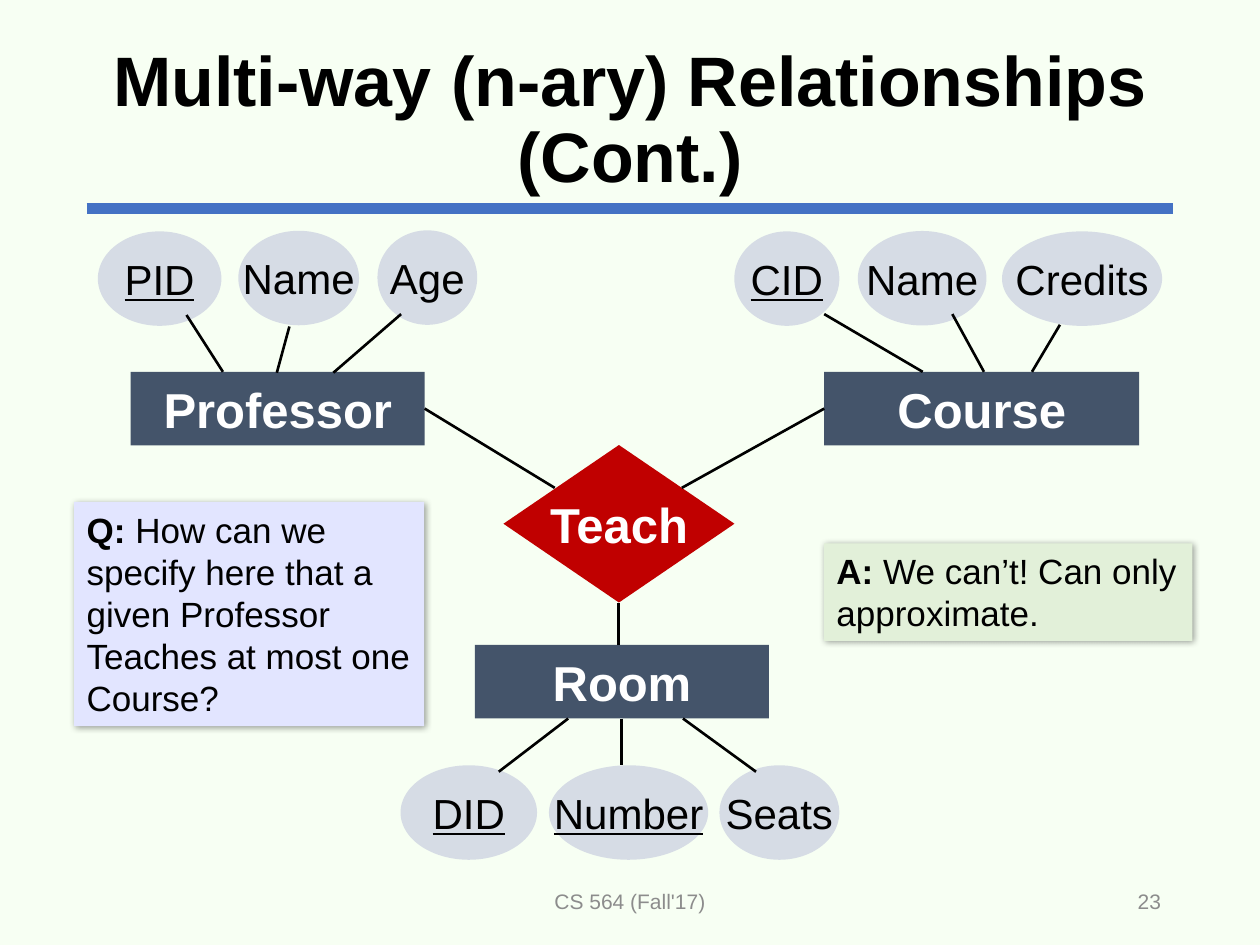
from lxml import etree
from pptx import Presentation, util as u
from pptx.dml.color import RGBColor
from pptx.enum import shapes, text
from pptx.oxml import parse_xml
from pptx.oxml.ns import qn

COLORS = {
    "page": "F7FFF3", "rule": "4472C4", "entity": "44546A", "attribute": "D6DCE5",
    "relationship": "C00000", "question": "E2E5FF", "answer": "E2F0D9",
    "black": "000000", "white": "FFFFFF", "footer": "8C8C8C",
}
SHADOW = (
    '<a:effectLst xmlns:a="http://schemas.openxmlformats.org/drawingml/2006/main">'
    '<a:outerShdw blurRad="50800" dist="12700" dir="2700000" algn="tl" rotWithShape="0">'
    '<a:srgbClr val="000000"><a:alpha val="40000"/></a:srgbClr>'
    '</a:outerShdw></a:effectLst>'
)
KIND = shapes.MSO_SHAPE
ALIGN = text.PP_ALIGN

deck = Presentation()
deck.slide_width, deck.slide_height = u.Pt(720), u.Pt(540)
page = deck.slides.add_slide(deck.slide_layouts[5])
page.background.fill.solid()
page.background.fill.fore_color.rgb = RGBColor.from_string(COLORS["page"])


def write(box, spans, size, color, align, wrap=True, underline=False):
    frame = box.text_frame
    frame.word_wrap = wrap
    frame.auto_size = text.MSO_AUTO_SIZE.NONE
    frame.vertical_anchor = text.MSO_ANCHOR.MIDDLE
    para = frame.paragraphs[0]
    para.alignment = align
    for words, bold in spans:
        span = para.add_run()
        span.text = words
        span.font.name = "Arial"
        span.font.size = u.Pt(size)
        span.font.bold = bold
        span.font.underline = underline
        span.font.color.rgb = RGBColor.from_string(COLORS[color])


def add_box(kind, left, top, width, height, fill):
    box = page.shapes.add_shape(kind, u.Pt(left), u.Pt(top), u.Pt(width), u.Pt(height))
    box.shadow.inherit = False
    box.fill.solid()
    box.fill.fore_color.rgb = RGBColor.from_string(COLORS[fill])
    box.line.fill.background()
    return box


title = page.shapes.title
title.left, title.top, title.width, title.height = u.Pt(49.5), u.Pt(17.5), u.Pt(621), u.Pt(104.4)
write(title, [("Multi-way (n-ary) Relationships (Cont.)", True)], 40, "black", ALIGN.CENTER)
title.text_frame.paragraphs[0].line_spacing = 0.9

for words, left, width, align in [
    ("CS 564 (Fall'17)", 238.5, 243, ALIGN.CENTER),
    ("23", 508.5, 162, ALIGN.RIGHT),
]:
    box = page.shapes.add_textbox(u.Pt(left), u.Pt(500.5), u.Pt(width), u.Pt(28.75))
    write(box, [(words, False)], 12, "footer", align)

for words, kind, left, top, width, height, fill in [
    ("Professor", KIND.RECTANGLE, 74.7, 212.5, 168, 42, "entity"),
    ("Course", KIND.RECTANGLE, 471, 212.5, 180, 42, "entity"),
    ("Room", KIND.RECTANGLE, 271.4, 368.6, 168, 42, "entity"),
    ("Teach", KIND.DIAMOND, 287.7, 254.3, 132, 90, "relationship"),
]:
    box = add_box(kind, left, top, width, height, fill)
    write(box, [(words, True)], 28, "white", ALIGN.CENTER, wrap=False)

for words, left, top, width, is_key in [
    ("PID", 55.9, 132.2, 70.6, True),
    ("Name", 136.2, 131.9, 69, False),
    ("Age", 215.7, 131.6, 57, False),
    ("CID", 419.6, 132.2, 60, True),
    ("Name", 490.2, 132, 73.5, False),
    ("Credits", 572.6, 132.2, 91.5, False),
    ("DID", 228.9, 437.3, 78, True),
    ("Number", 313.7, 437.3, 91, True),
    ("Seats", 411.1, 437.3, 68.5, False),
]:
    box = add_box(KIND.OVAL, left, top, width, 54, "attribute")
    write(box, [(words, False)], 24, "black", ALIGN.CENTER, wrap=False, underline=is_key)

BLACK_LINE = ("black", 1.5)
links = [
    (127.4, 212.5, 106.6, 180), (158.2, 213, 165.4, 186.6), (190.5, 213, 229.2, 179.5),
    (527.3, 212.5, 471, 179.5), (562.3, 212.5, 544.2, 179.5), (589.7, 212.5, 605.7, 185.6),
    (471, 233.5, 389.6, 278.8), (242.7, 233.5, 317, 278.8), (353.5, 368.6, 353.5, 344.3),
    (324.7, 410.6, 285, 441), (355.1, 410.6, 355.1, 437.3), (390.3, 410.6, 432, 441),
]
lines = [((49.5, 119.2, 670.5, 119.2), ("rule", 6))] + [(link, BLACK_LINE) for link in links]
for ends, (color, weight) in lines:
    line = page.shapes.add_connector(shapes.MSO_CONNECTOR.STRAIGHT, *[u.Pt(end) for end in ends])
    line.line.color.rgb = RGBColor.from_string(COLORS[color])
    line.line.width = u.Pt(weight)
    etree.SubElement(line._element.spPr, qn("a:effectLst"))

for label, words, left, top, width, height, fill in [
    ("Q: ", "How can we specify here that a given Professor Teaches at most one Course?",
     42.4, 286.8, 200, 128.2, "question"),
    ("A: ", "We can’t! Can only approximate.", 470.9, 310.5, 210.5, 55.7, "answer"),
]:
    box = add_box(KIND.RECTANGLE, left, top, width, height, fill)
    properties = box._element.spPr
    properties.replace(properties.find(qn("a:effectLst")), parse_xml(SHADOW))
    write(box, [(label, True), (words, False)], 20, "black", ALIGN.LEFT)
    box.text_frame.vertical_anchor = text.MSO_ANCHOR.TOP

deck.save("out.pptx")
